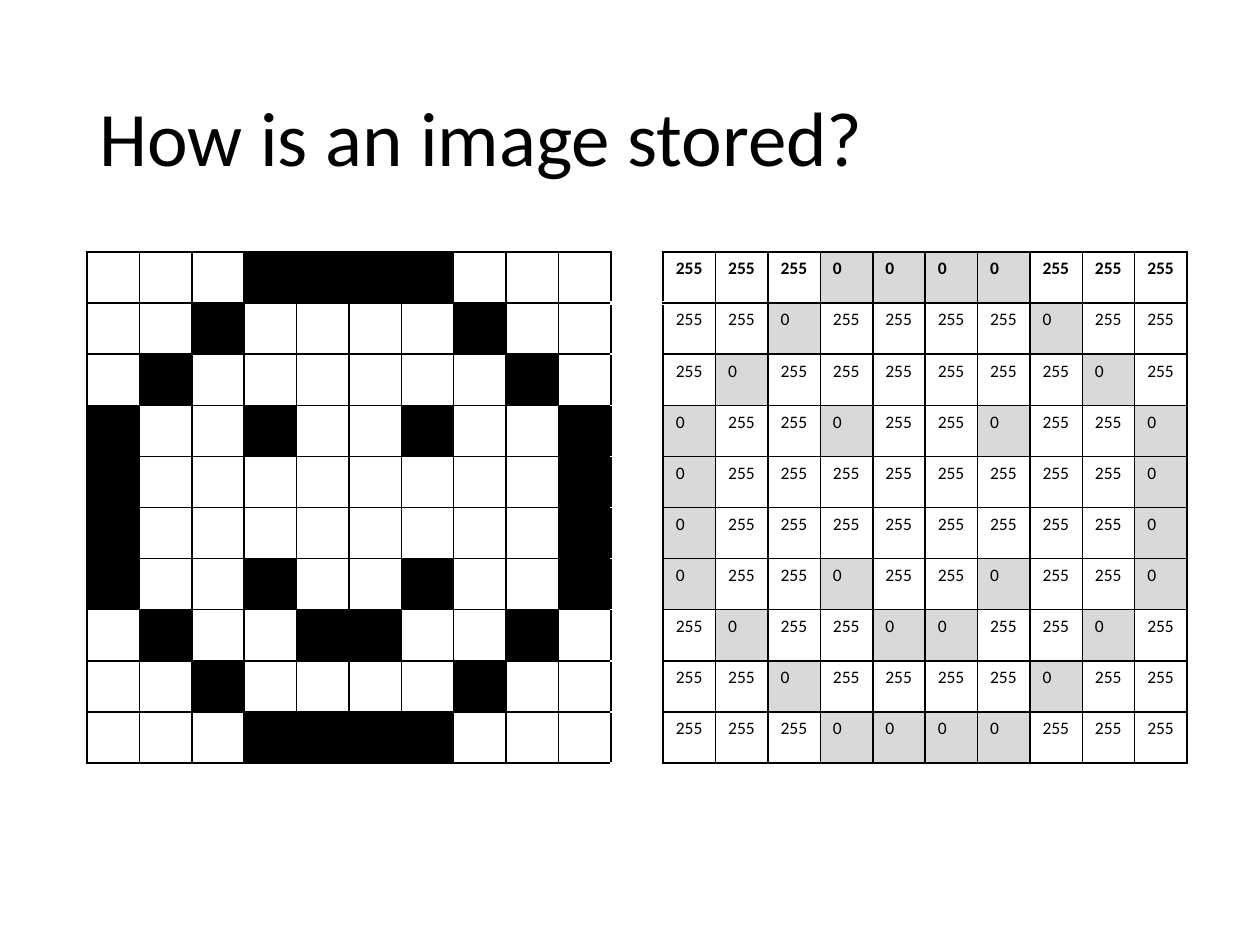
import pptx
import pptx.dml.color
import pptx.enum.text
import pptx.oxml
import pptx.oxml.ns
import pptx.util

SCALE = 914400 / 126  # EMU per px

BITMAP = [
    "...####...",
    "..#....#..",
    ".#......#.",
    "#..#..#..#",
    "#........#",
    "#........#",
    "#..#..#..#",
    ".#..##..#.",
    "..#....#..",
    "...####...",
]
SIZE = len(BITMAP)
GAP_COLUMN = SIZE
BLACK, WHITE, GRAY = "000000", "FFFFFF", "D9D9D9"


def px(length):
    return pptx.util.Emu(round(length * SCALE))


def color(hex_string):
    return pptx.dml.color.RGBColor.from_string(hex_string)


presentation = pptx.Presentation()
presentation.slide_width = px(1260)
presentation.slide_height = px(945)
slide = presentation.slides.add_slide(presentation.slide_layouts[5])

# Title
title = slide.shapes.title
title_box = {"left": 87, "top": 50, "width": 1086, "height": 183}
for name, value in title_box.items():
    setattr(title, name, px(value))
title.text_frame.text = "How is an image stored?"
title.text_frame.vertical_anchor = pptx.enum.text.MSO_ANCHOR.MIDDLE
paragraph = title.text_frame.paragraphs[0]
paragraph.alignment = pptx.enum.text.PP_ALIGN.LEFT
paragraph.line_spacing = 0.9
title_font = paragraph.runs[0].font
for name, value in {"name": "Calibri", "size": pptx.util.Pt(44)}.items():
    setattr(title_font, name, value)
title_font.color.rgb = color(BLACK)

# One table: pixels, a gap column, then the stored values
table = slide.shapes.add_table(
    SIZE, 2 * SIZE + 1, px(87), px(252), px(1101), px(511)
).table
table.first_row = False
table.horz_banding = False

for row, pixels in enumerate(BITMAP):
    for column in range(2 * SIZE + 1):
        cell = table.cell(row, column)
        is_gap = column == GAP_COLUMN
        is_value = column > GAP_COLUMN

        # Borders: the gap column is open at top and bottom
        cell_properties = cell._tc.get_or_add_tcPr()
        for side in "LRTB":
            line_color = WHITE if is_gap and side in "TB" else BLACK
            width = 3 if is_gap and side == "B" and row == 0 else 1
            cell_properties.append(pptx.oxml.parse_xml(
                f'<a:ln{side} {pptx.oxml.ns.nsdecls("a")} w="{width * 12700}">'
                f'<a:solidFill><a:srgbClr val="{line_color}"/></a:solidFill>'
                f'</a:ln{side}>'
            ))

        # Fill: black pixels on the left, gray zero values on the right
        is_dark = not is_gap and pixels[column % (SIZE + 1)] == "#"
        if is_dark:
            cell.fill.solid()
            cell.fill.fore_color.rgb = color(GRAY if is_value else BLACK)
        else:
            cell.fill.background()

        # Value text
        if is_value:
            cell.text = "0" if is_dark else "255"
            font = cell.text_frame.paragraphs[0].runs[0].font
            value_format = {
                "name": "Calibri", "size": pptx.util.Pt(10), "bold": row == 0,
            }
            for name, value in value_format.items():
                setattr(font, name, value)
            font.color.rgb = color(BLACK)

presentation.save("out.pptx")
